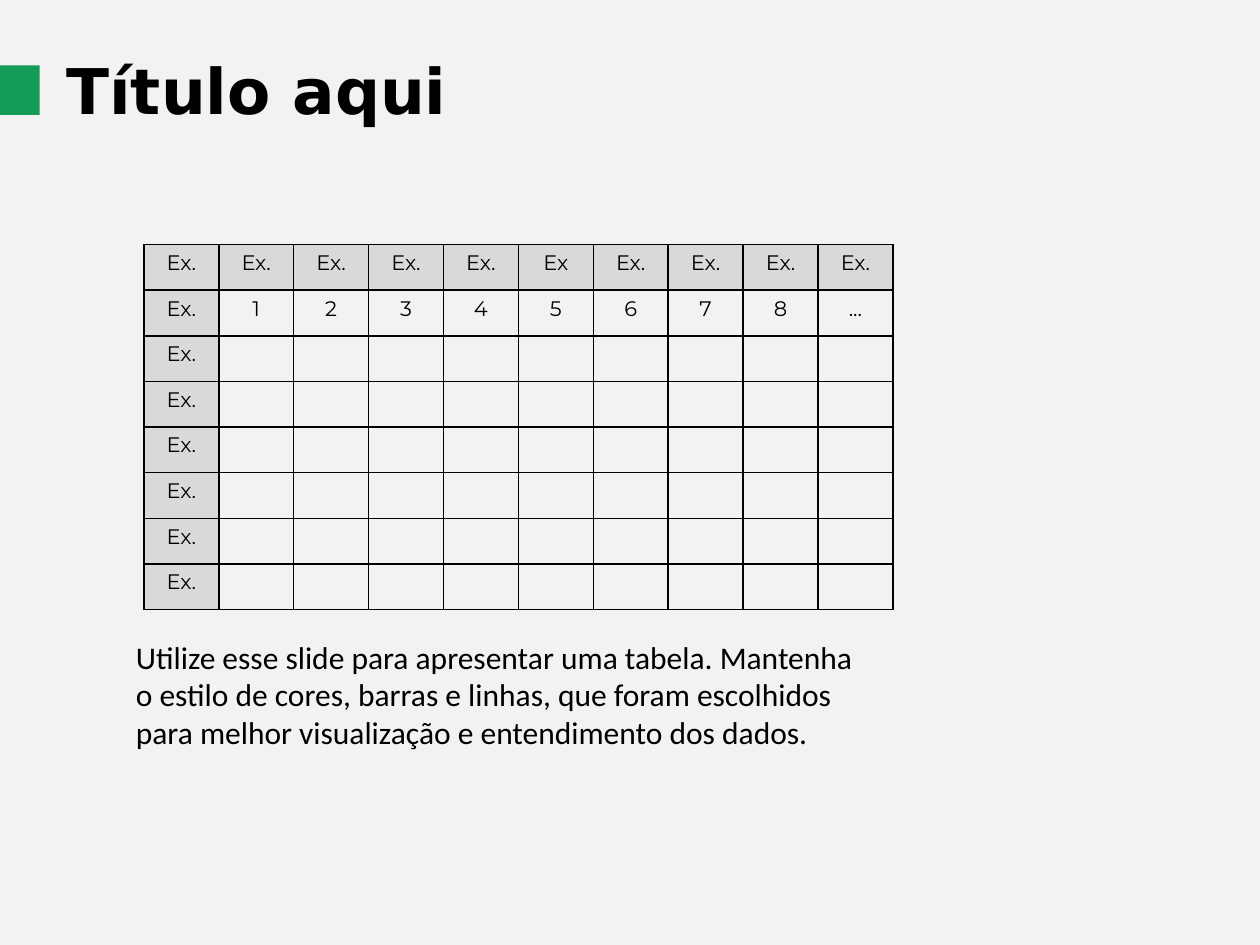
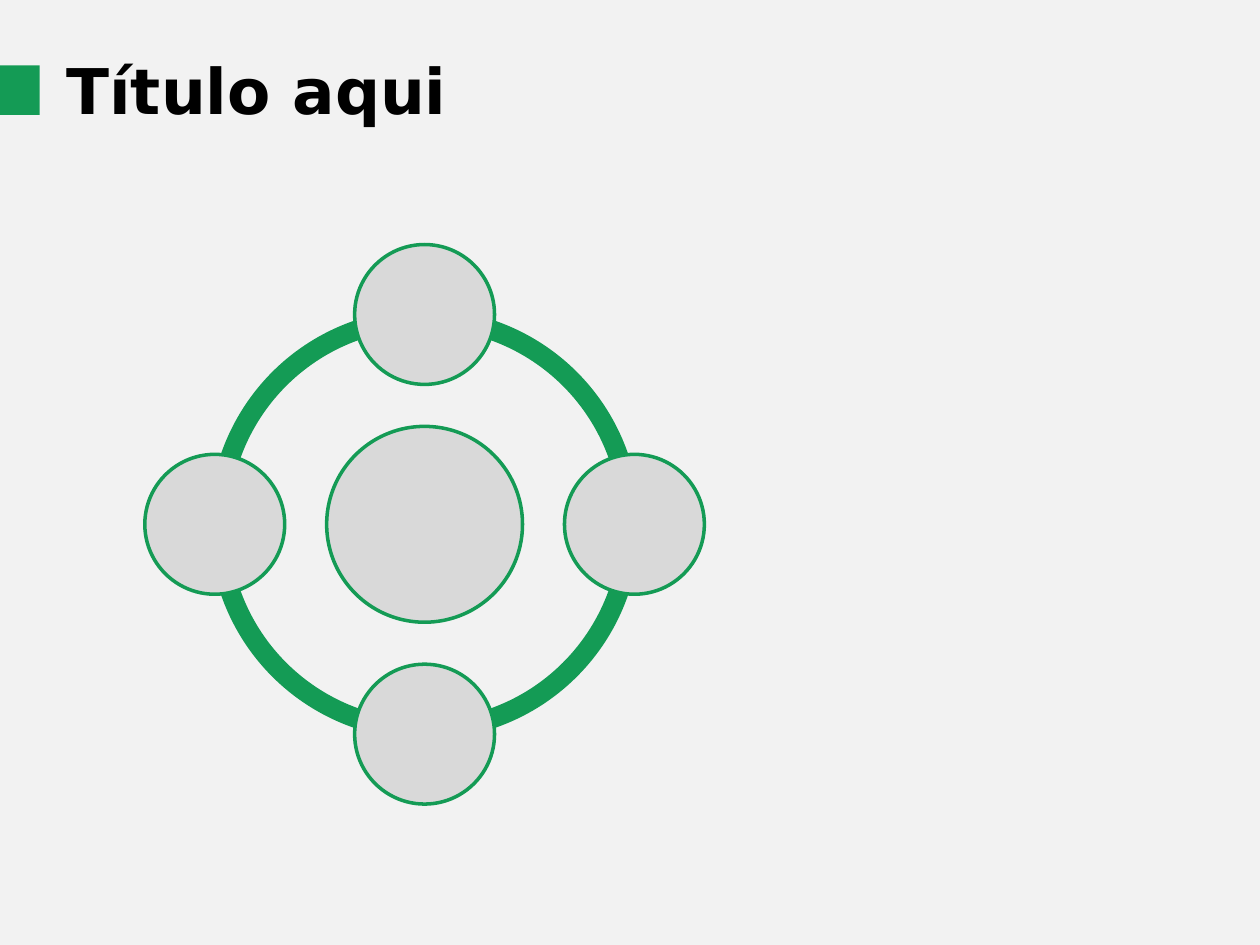
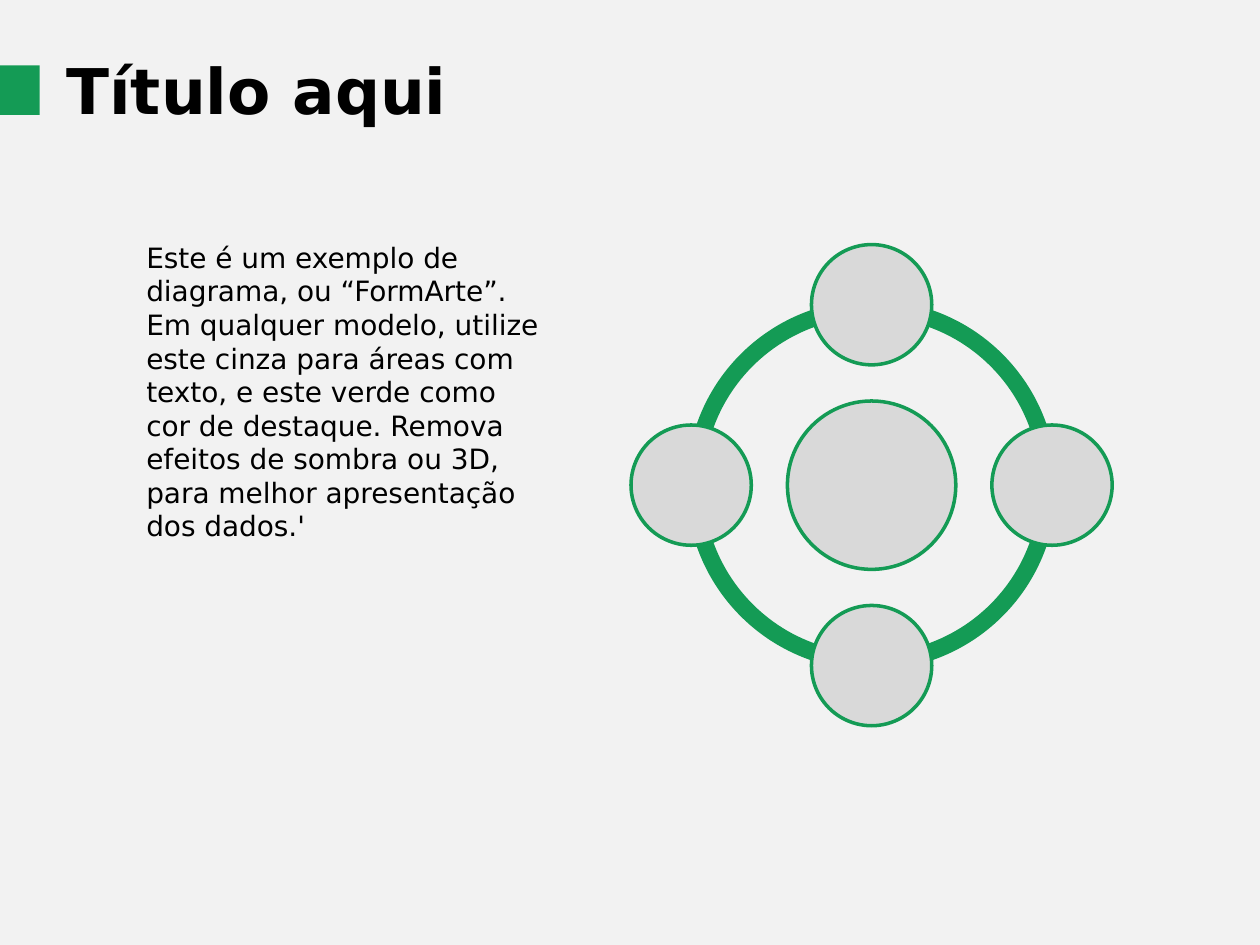
"""Builds three template slides: a table, a ring diagram, and a diagram with text."""
from lxml.etree import SubElement
from pptx import Presentation
from pptx.dml.color import RGBColor
from pptx.enum.shapes import MSO_SHAPE
from pptx.enum.text import MSO_AUTO_SIZE, PP_ALIGN
from pptx.oxml import parse_xml
from pptx.oxml.ns import nsdecls, qn
from pptx.util import Cm, Pt

BLACK = RGBColor(0, 0, 0)
GREEN = RGBColor(0x14, 0x9B, 0x55)
GREY = RGBColor(0xD9, 0xD9, 0xD9)
PAPER = RGBColor(0xF2, 0xF2, 0xF2)

TITLE = "Título aqui"
TABLE_NOTE = (
    "Utilize esse slide para apresentar uma tabela. Mantenha o estilo de cores, "
    "barras e linhas, que foram escolhidos para melhor visualização e "
    "entendimento dos dados."
)
DIAGRAM_NOTE = (
    "Este é um exemplo de diagrama, ou “FormArte”. Em qualquer modelo, utilize "
    "este cinza para áreas com texto, e este verde como cor de destaque. Remova "
    "efeitos de sombra ou 3D, para melhor apresentação dos dados.'"
)
ROWS = [
    ["Ex."] * 5 + ["Ex"] + ["Ex."] * 4,
    ["Ex.", "1", "2", "3", "4", "5", "6", "7", "8", "..."],
] + [["Ex."] + [""] * 9] * 6

COL_W, ROW_H = 1.51, 0.92
RING, HUB, NODE = 0.77, 0.35, 0.25
QUARTER, FULL_TURN = 54, 216
RING_THICKNESS = 0.046
DIRECTIONS = [(0, -1), (1, 0), (0, 1), (-1, 0)]


def add_run(p, text, size, font, bold=False):
    """Add one black run to a paragraph."""
    r = p.add_run()
    r.text = text
    r.font.size, r.font.name, r.font.bold = Pt(size), font, bold
    r.font.color.rgb = BLACK


def add_text(slide, box, text, size, font, bold=False):
    """Add a wrapping text box."""
    tf = slide.shapes.add_textbox(*map(Cm, box)).text_frame
    tf.word_wrap = True
    tf.auto_size = MSO_AUTO_SIZE.SHAPE_TO_FIT_TEXT
    add_run(tf.paragraphs[0], text, size, font, bold)


def add_flat(shapes, kind, box, fill, line=None):
    """Add a flat preset shape."""
    sp = shapes.add_shape(kind, *map(Cm, box))
    sp.shadow.inherit = False
    sp.fill.solid()
    sp.fill.fore_color.rgb = fill
    if line is None:
        sp.line.fill.background()
    else:
        sp.line.color.rgb = line
        sp.line.width = Pt(2)
    return sp


def add_slide(prs):
    """Add a blank slide with the title and its green marker."""
    slide = prs.slides.add_slide(prs.slide_layouts[6])
    add_text(slide, (1.09, 0.91, 17.2, 1.8), TITLE, 36, "DejaVu Sans", True)
    add_flat(slide.shapes, MSO_SHAPE.RECTANGLE, (-0.1, 1.32, 0.9, 1), GREEN)
    return slide


def add_borders(cell):
    """Draw a black line on each side of a cell."""
    tc_pr = cell._tc.get_or_add_tcPr()
    for i, side in enumerate("LRTB"):
        ln = parse_xml(f'<a:ln{side} {nsdecls("a")} w="{Pt(1)}"/>')
        fill = SubElement(ln, qn("a:solidFill"))
        SubElement(fill, qn("a:srgbClr")).set("val", str(BLACK))
        tc_pr.insert(i, ln)


def add_grid(slide, left, top):
    """Add the table with a grey first row and first column."""
    n_rows, n_cols = len(ROWS), len(ROWS[0])
    box = map(Cm, (left, top, COL_W * n_cols, ROW_H * n_rows))
    table = slide.shapes.add_table(n_rows, n_cols, *box).table
    for col in table.columns:
        col.width = Cm(COL_W)
    for i, row in enumerate(ROWS):
        table.rows[i].height = Cm(ROW_H)
        for j, text in enumerate(row):
            cell = table.cell(i, j)
            cell.margin_left = cell.margin_right = Cm(0.24)
            cell.margin_top = cell.margin_bottom = Cm(0.11)
            if i == 0 or j == 0:
                cell.fill.solid()
                cell.fill.fore_color.rgb = GREY
            else:
                cell.fill.background()
            add_borders(cell)
            p = cell.text_frame.paragraphs[0]
            p.alignment = PP_ALIGN.CENTER
            if text:
                add_run(p, text, 12, "Montserrat")
            else:
                SubElement(p._p, qn("a:endParaRPr")).set("sz", "1200")


def add_diagram(slide, cx, cy, size):
    """Add a ring of four nodes around a hub, fitted to a square."""
    shapes = slide.shapes.add_group_shape().shapes

    def centred(x, y, d):
        return x - d / 2, y - d / 2, d, d

    for start in (108, 54, 0, 162):
        arc = add_flat(shapes, MSO_SHAPE.BLOCK_ARC, centred(cx, cy, size * RING), GREEN)
        arc.adjustments[0] = start
        arc.adjustments[1] = (start + QUARTER) % FULL_TURN
        arc.adjustments[2] = RING_THICKNESS
    orbit = size * (1 - NODE) / 2
    circles = [(cx, cy, size * HUB)]
    circles += [(cx + dx * orbit, cy + dy * orbit, size * NODE) for dx, dy in DIRECTIONS]
    for circle in circles:
        add_flat(shapes, MSO_SHAPE.OVAL, centred(*circle), GREY, GREEN)


def main():
    """Build and save the presentation."""
    prs = Presentation()
    prs.slide_width, prs.slide_height = Cm(25.4), Cm(19.05)
    background = prs.slide_master.background.fill
    background.solid()
    background.fore_color.rgb = PAPER

    slide = add_slide(prs)
    add_grid(slide, 2.9, 4.93)
    add_text(slide, (2.49, 12.73, 15.4, 2.57), TABLE_NOTE, 18, "Calibri")

    slide = add_slide(prs)
    add_diagram(slide, 8.56, 10.57, 11.28)

    slide = add_slide(prs)
    add_diagram(slide, 17.57, 9.78, 9.7)
    add_text(slide, (2.7, 4.72, 8.6, 6.4), DIAGRAM_NOTE, 16, "DejaVu Sans")

    prs.save("out.pptx")


if __name__ == "__main__":
    main()
